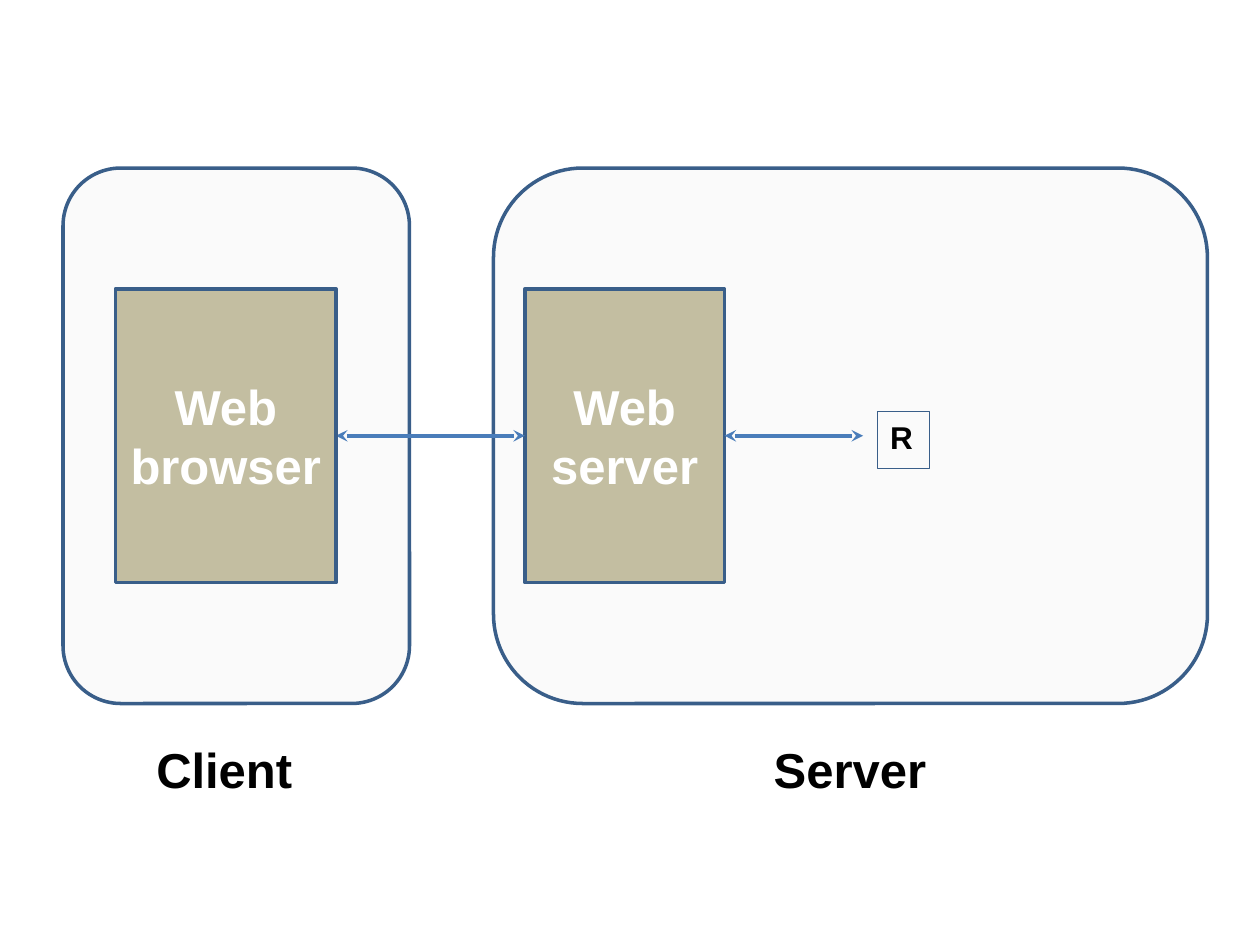
from lxml.etree import SubElement
from pptx import Presentation
from pptx.dml.color import RGBColor
from pptx.enum.shapes import MSO_CONNECTOR, MSO_SHAPE
from pptx.enum.text import MSO_ANCHOR, MSO_AUTO_SIZE, PP_ALIGN
from pptx.oxml.ns import qn
from pptx.util import Inches, Pt

CELL = Inches(10) / 120
MIDDLE = 41.5
BORDER = "395E89"


def grid(*cells):
    """Turn grid cells, 120 across and 90 down the slide, into lengths."""
    return [round(cell * CELL) for cell in cells]


def paint(color_format, color):
    """Set a colour from a hex string."""
    color_format.rgb = RGBColor.from_string(color)


def write(shape, wording, size, color, align=PP_ALIGN.LEFT, wrap=False):
    """Put one bold Arial paragraph into a shape."""
    frame = shape.text_frame
    frame.text = wording
    frame.word_wrap = wrap
    frame.auto_size = MSO_AUTO_SIZE.NONE
    frame.vertical_anchor = MSO_ANCHOR.MIDDLE if wrap else MSO_ANCHOR.TOP
    paragraph = frame.paragraphs[0]
    paragraph.alignment = align
    font = paragraph.runs[0].font
    font.name, font.size, font.bold = "Arial", Pt(size), True
    paint(font.color, color)


def add_block(slide, kind, cells, line_width, fill=None, opacity=100):
    """Add an outlined shape with a translucent fill or none."""
    block = slide.shapes.add_shape(kind, *grid(*cells))
    block.shadow.inherit = False
    paint(block.line.color, BORDER)
    block.line.width = Pt(line_width)
    if fill is None:
        block.fill.background()
        return block
    block.fill.solid()
    paint(block.fill.fore_color, fill)
    tint = block.fill._xPr.find(qn("a:solidFill"))[0]
    SubElement(tint, qn("a:alpha"), val=str(opacity * 1000))
    return block


def add_machine(slide, left, width):
    """Add the rounded panel of one computer."""
    add_block(slide, MSO_SHAPE.ROUNDED_RECTANGLE, (left, 16, width, 51), 2, "F2F2F2", 37)


def add_caption(slide, wording, left, width):
    """Add the name below a panel."""
    caption = slide.shapes.add_textbox(*grid(left, 69.8, width, 6.8))
    write(caption, wording, 28, "000000")


def add_program(slide, wording, left, width):
    """Add a program box centred on the line of arrows."""
    program = add_block(slide, MSO_SHAPE.RECTANGLE, (left, MIDDLE - 14, width, 28), 2, "938953", 53)
    write(program, wording, 28, "FFFFFF", PP_ALIGN.CENTER, wrap=True)


def add_exchange(slide, start, end):
    """Add a horizontal two-headed arrow."""
    arrow = slide.shapes.add_connector(MSO_CONNECTOR.STRAIGHT, *grid(start, MIDDLE, end, MIDDLE))
    paint(arrow.line.color, "4A7DBA")
    arrow.line.width = Pt(2.25)
    outline = arrow.line._get_or_add_ln()
    for tip in ("a:headEnd", "a:tailEnd"):
        SubElement(outline, qn(tip), type="stealth")
    SubElement(arrow._element.spPr, qn("a:effectLst"))


def main():
    """Build the client and server slide."""
    deck = Presentation()
    deck.slide_width, deck.slide_height = grid(120, 90)
    slide = deck.slides.add_slide(deck.slide_layouts[6])

    add_machine(slide, 6, 33)
    add_caption(slide, "Client", 13.7, 15.5)
    add_machine(slide, 47, 68)
    add_caption(slide, "Server", 72.5, 17.2)
    add_program(slide, "Web server", 50, 19)
    add_exchange(slide, 32, 50)
    engine = add_block(slide, MSO_SHAPE.RECTANGLE, (83.6, 39.2, 4.9, 5.4), 0.75)
    write(engine, "R", 18, "000000")
    add_exchange(slide, 69, 82.2)
    add_program(slide, "Web browser", 11, 21)

    deck.save("out.pptx")


if __name__ == "__main__":
    main()
